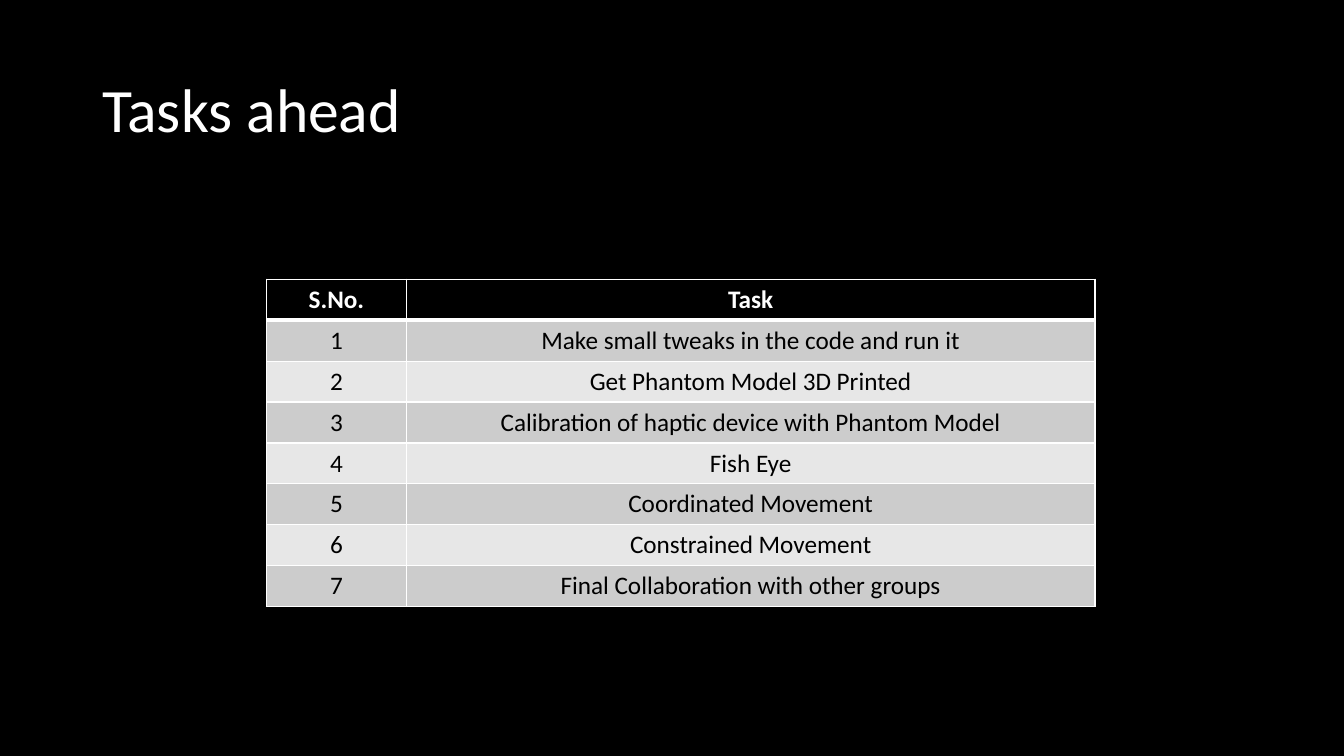
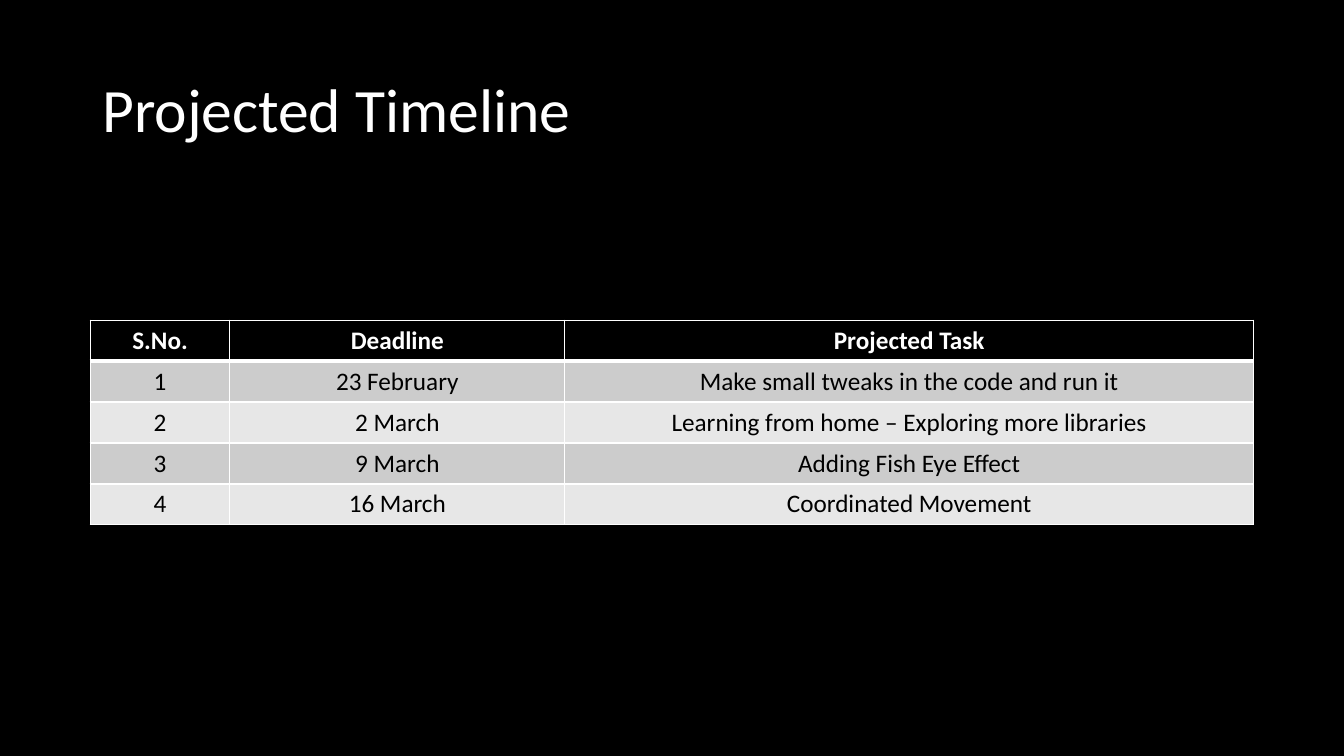
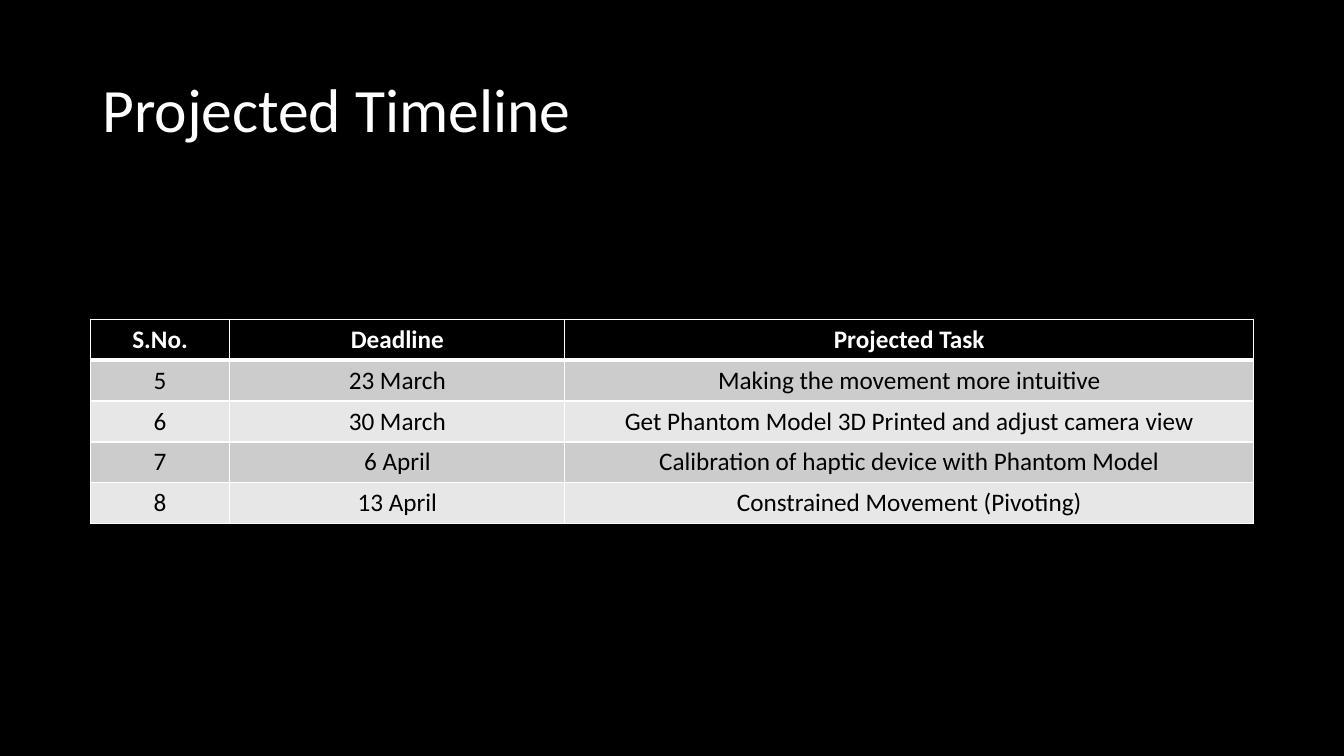
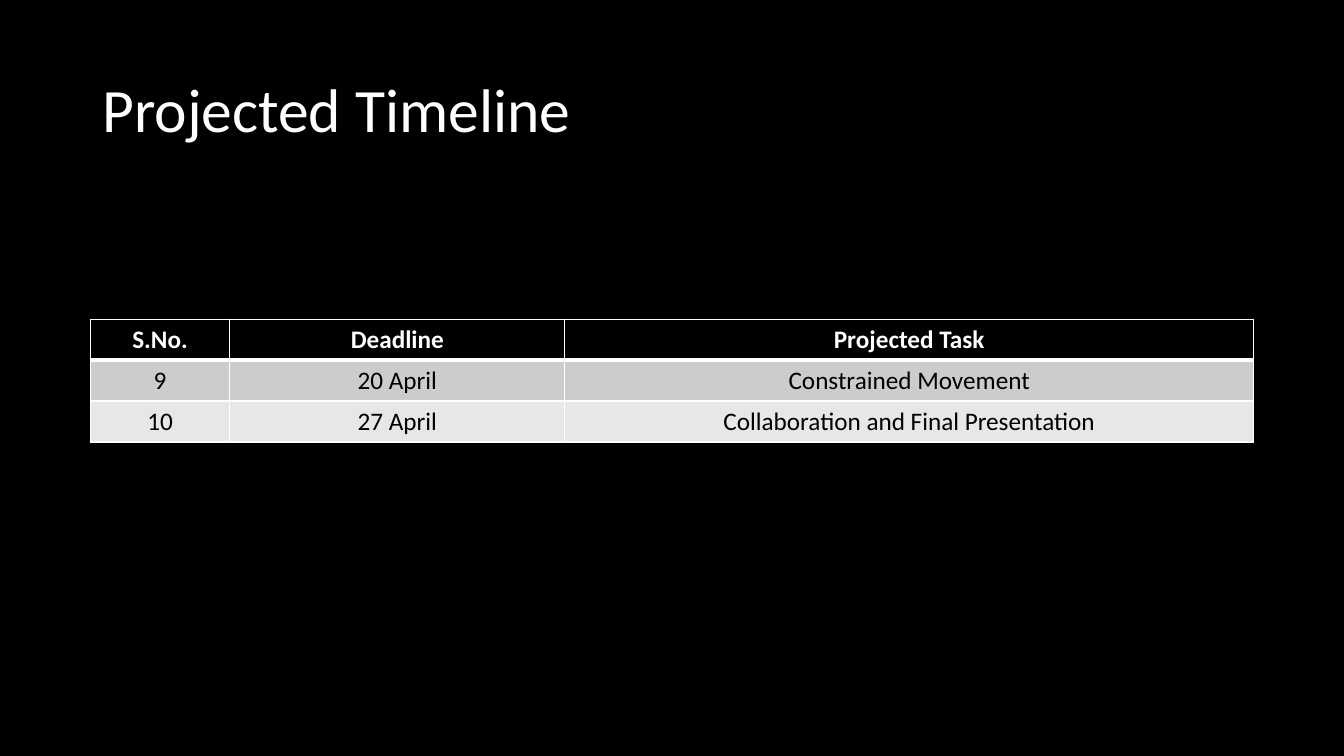
"""Builds four slides of tasks and deadlines as tables."""
from dataclasses import dataclass

from lxml.etree import SubElement as Sub
from pptx import Presentation
from pptx.dml.color import RGBColor as Rgb
from pptx.enum.text import MSO_ANCHOR as Anchor, PP_ALIGN as Align
from pptx.oxml.ns import qn
from pptx.util import Pt

PX = 9525
SIZE = (1280, 720)
TITLE = (88, 38, 1104, 139)
ROW = 39
WIDTHS = {"S.No.": 133, "Deadline": 319, "Task": 656, "Projected Task": 656}
PLAN = ("S.No.", "Deadline", "Projected Task")

SLIDES = [
    dict(title="Tasks ahead", at=(254, 266), head=("S.No.", "Task"), first=1, rows=[
        ("Make small tweaks in the code and run it",),
        ("Get Phantom Model 3D Printed",),
        ("Calibration of haptic device with Phantom Model",),
        ("Fish Eye",),
        ("Coordinated Movement",),
        ("Constrained Movement",),
        ("Final Collaboration with other groups",),
    ]),
    dict(title="Projected Timeline", at=(86, 305), head=PLAN, first=1, rows=[
        ("23 February", "Make small tweaks in the code and run it"),
        ("2 March", "Learning from home – Exploring more libraries"),
        ("9 March", "Adding Fish Eye Effect"),
        ("16 March", "Coordinated Movement"),
    ]),
    dict(title="Projected Timeline", at=(86, 304), head=PLAN, first=5, rows=[
        ("23 March", "Making the movement more intuitive"),
        ("30 March", "Get Phantom Model 3D Printed and adjust camera view"),
        ("6 April", "Calibration of haptic device with Phantom Model"),
        ("13 April", "Constrained Movement (Pivoting)"),
    ]),
    dict(title="Projected Timeline", at=(86, 304), head=PLAN, first=9, rows=[
        ("20 April", "Constrained Movement"),
        ("27 April", "Collaboration and Final Presentation"),
    ]),
]


@dataclass(frozen=True)
class Theme:
    font: str = "Calibri"
    dark: str = "000000"
    light: str = "FFFFFF"
    bands: tuple = ("CCCCCC", "E7E7E7")
    title: int = 44
    body: int = 18
    thin: int = 1
    thick: int = 3


THEME = Theme()


def emu(*vals):
    return [val * PX for val in vals]


def paint(fill, color):
    fill.solid()
    fill.fore_color.rgb = Rgb.from_string(color)


def write(frame, text, size=THEME.body, color=THEME.dark, bold=False,
          align=Align.LEFT, space=1.0):
    para = frame.paragraphs[0]
    para.alignment, para.line_spacing = align, space
    run = para.add_run()
    run.text = text
    font = run.font
    font.name, font.size, font.bold = THEME.font, Pt(size), bold
    font.color.rgb = Rgb.from_string(color)


def edge(cell, **lines):
    props = cell._tc.get_or_add_tcPr()
    for side in "LRTB":
        width = Pt(lines.get(side, THEME.thin))
        line = Sub(props, qn(f"a:ln{side}"), w=str(width))
        Sub(Sub(line, qn("a:solidFill")), qn("a:srgbClr"), val=THEME.light)


def add_title(slide, text):
    frame = slide.shapes.add_textbox(*emu(*TITLE)).text_frame
    frame.word_wrap, frame.vertical_anchor = True, Anchor.MIDDLE
    write(frame, text, size=THEME.title, color=THEME.light, space=0.9)


def add_grid(slide, at, head, first, rows):
    lines = [head] + [(str(num), *row) for num, row in enumerate(rows, first)]
    widths = [WIDTHS[name] for name in head]
    box = emu(*at, sum(widths), ROW * len(lines))
    grid = slide.shapes.add_table(len(lines), len(head), *box).table
    for col, width in zip(grid.columns, emu(*widths)):
        col.width = width
    for num, line in enumerate(lines):
        grid.rows[num].height = ROW * PX
        top = num == 0
        rule = {0: {"B": THEME.thick}, 1: {"T": THEME.thick}}.get(num, {})
        for cell, text in zip(grid.rows[num].cells, line):
            edge(cell, **rule)
            paint(cell.fill, THEME.dark if top else THEME.bands[(num - 1) % 2])
            write(cell.text_frame, text, bold=top, align=Align.CENTER,
                  color=THEME.light if top else THEME.dark)


def main():
    deck = Presentation()
    deck.slide_width, deck.slide_height = emu(*SIZE)
    paint(deck.slide_master.background.fill, THEME.dark)
    for page in SLIDES:
        slide = deck.slides.add_slide(deck.slide_layouts[6])
        add_title(slide, page["title"])
        add_grid(slide, page["at"], page["head"], page["first"], page["rows"])
    deck.save("out.pptx")


if __name__ == "__main__":
    main()
